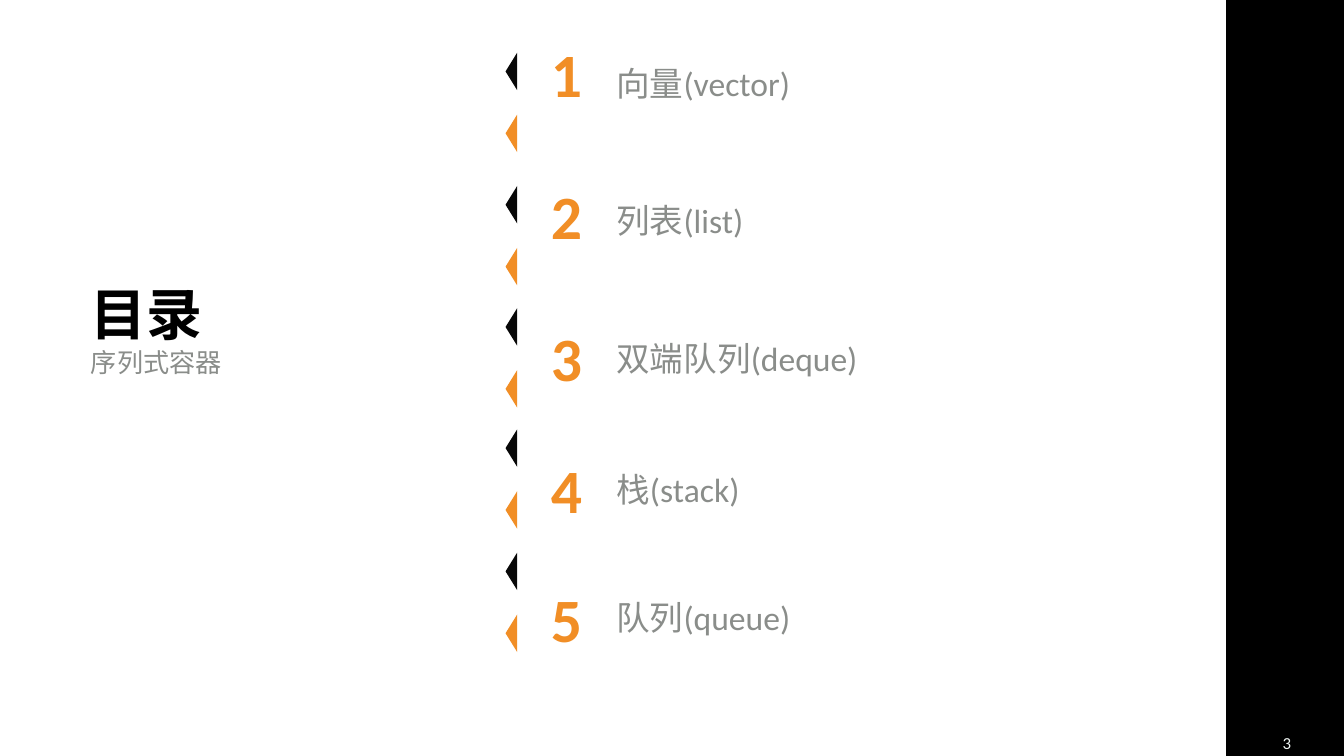
from pptx import Presentation
from pptx.dml.color import RGBColor
from pptx.enum.shapes import MSO_SHAPE as Shape
from pptx.enum.text import MSO_ANCHOR as Anchor, MSO_AUTO_SIZE as AutoSize, PP_ALIGN as Align
from pptx.util import Cm, Pt

BLACK, WHITE, DARK = "000000", "FFFFFF", "080808"
ORANGE, GREY, PALE = "F18E26", "8A8D8A", "F0F6F4"


def colour(code):
    return RGBColor.from_string(code)


class Page:
    """Holds the deck style and the current slide."""
    font = "Calibri"

    def __init__(self, slide, background):
        self.slide = slide
        fill = slide.background.fill
        fill.solid()
        fill.fore_color.rgb = colour(background)

    def shape(self, kind, left, top, width, height, fill, rotation=0):
        item = self.slide.shapes.add_shape(kind, Cm(left), Cm(top), Cm(width), Cm(height))
        item.shadow.inherit = False
        item.fill.solid()
        item.fill.fore_color.rgb = colour(fill)
        item.line.fill.background()
        item.rotation = rotation

    def text(self, left, top, width, height, lines, align=Align.LEFT,
             anchor=Anchor.MIDDLE, fit=AutoSize.NONE):
        """Each line is (wording, size, colour, bold)."""
        box = self.slide.shapes.add_textbox(Cm(left), Cm(top), Cm(width), Cm(height))
        frame = box.text_frame
        frame_format = {"word_wrap": True, "auto_size": fit, "vertical_anchor": anchor}
        for name, value in frame_format.items():
            setattr(frame, name, value)
        for index, (wording, size, code, bold) in enumerate(lines):
            paragraph = frame.add_paragraph() if index else frame.paragraphs[0]
            paragraph.alignment = align
            run = paragraph.add_run()
            run.text = wording
            for name, value in {"name": self.font, "size": Pt(size), "bold": bold}.items():
                setattr(run.font, name, value)
            run.font.color.rgb = colour(code)


deck = Presentation()
deck.slide_width, deck.slide_height = Cm(25.4), Cm(14.29)
page = Page(deck.slides.add_slide(deck.slide_layouts[6]), BLACK)

# Page number on the black band, then the white panel
page.text(23.32, 13.54, 2, 0.99, [("3", 9, PALE, False)], Align.CENTER)
page.shape(Shape.RECTANGLE, 0, 0, 23.17, 14.29, WHITE)

# Heading
page.text(1.47, 5.16, 7.57, 2.13,
          [("目录", 30, BLACK, True), ("序列式容器", 14, GREY, False)],
          anchor=Anchor.TOP, fit=AutoSize.SHAPE_TO_FIT_TEXT)

# Contents: topic, then tops of its markers, number and label, then label width
topics = [
    ("向量(vector)", 1.24, 0.51, 1.07, 9.58),
    ("列表(list)", 3.76, 3.18, 3.66, 8.86),
    ("双端队列(deque)", 6.07, 5.87, 6.25, 10.67),
    ("栈(stack)", 8.36, 8.36, 8.74, 10.67),
    ("队列(queue)", 10.69, 10.8, 11.15, 10.67),
]
MARKER_STEP = 1.17
for number, (topic, marker_top, number_top, label_top, label_width) in enumerate(topics, 1):
    for step, fill in enumerate((DARK, ORANGE)):
        page.shape(Shape.ISOSCELES_TRIANGLE, 9.31, marker_top + step * MARKER_STEP,
                   0.71, 0.22, fill, rotation=270)
    page.text(9.78, number_top, 1.85, 1.75, [(str(number), 33, ORANGE, True)], Align.CENTER)
    page.text(11.4, label_top, label_width, 1.02, [(topic, 18, GREY, False)],
              fit=AutoSize.SHAPE_TO_FIT_TEXT)

deck.save("out.pptx")
